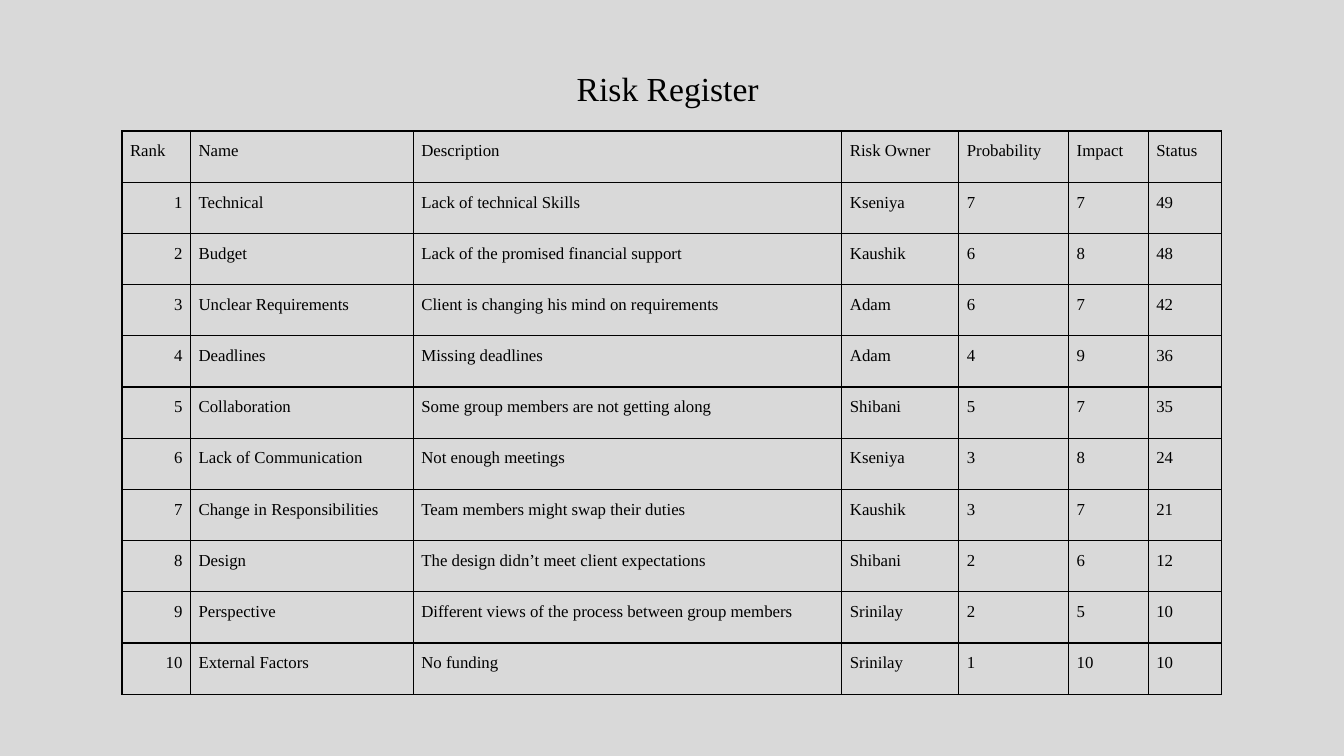
from lxml.etree import SubElement
from pptx import Presentation
from pptx.dml.color import RGBColor
from pptx.enum.text import MSO_ANCHOR as Anchor, PP_ALIGN as Align
from pptx.oxml.ns import qn
from pptx.util import Inches, Pt

INK = "000000"
LEFT, WIDTH = 1.21, 10.91
TABLE_TOP, TABLE_HEIGHT = 1.3, 5.59
COLUMNS = {"Rank": 0.68, "Name": 2.21, "Description": 4.25, "Risk Owner": 1.16,
           "Probability": 1.09, "Impact": 0.79, "Status": 0.73}

# Name, description, owner, probability, impact; in order of rank
RISKS = [
    ("Technical", "Lack of technical Skills", "Kseniya", 7, 7),
    ("Budget", "Lack of the promised financial support", "Kaushik", 6, 8),
    ("Unclear Requirements", "Client is changing his mind on requirements", "Adam", 6, 7),
    ("Deadlines", "Missing deadlines", "Adam", 4, 9),
    ("Collaboration", "Some group members are not getting along", "Shibani", 5, 7),
    ("Lack of Communication", "Not enough meetings", "Kseniya", 3, 8),
    ("Change in Responsibilities", "Team members might swap their duties", "Kaushik", 3, 7),
    ("Design", "The design didn’t meet client expectations", "Shibani", 2, 6),
    ("Perspective", "Different views of the process between group members", "Srinilay", 2, 5),
    ("External Factors", "No funding", "Srinilay", 1, 10),
]


def rgb(code):
    return RGBColor.from_string(code)


def write(frame, text, size, align, spacing):
    paragraph = frame.paragraphs[0]
    paragraph.alignment, paragraph.line_spacing = align, spacing
    run = paragraph.add_run()
    run.text = text
    for key, value in {"name": "Times New Roman", "size": Pt(size), "bold": False}.items():
        setattr(run.font, key, value)
    run.font.color.rgb = rgb(INK)


# Slide
deck = Presentation()
deck.slide_width, deck.slide_height = Inches(13.33), Inches(7.5)
slide = deck.slides.add_slide(deck.slide_layouts[5])
slide.background.fill.solid()
slide.background.fill.fore_color.rgb = rgb("D9D9D9")

# Title
heading = slide.shapes.title
heading.left, heading.top = Inches(LEFT), Inches(0.38)
heading.width, heading.height = Inches(WIDTH), Inches(0.75)
heading.text_frame.vertical_anchor = Anchor.BOTTOM
write(heading.text_frame, "Risk Register ", 24, Align.CENTER, 0.9)

# Register: status is probability times impact
rows = [tuple(COLUMNS)]
for rank, risk in enumerate(RISKS, 1):
    rows.append((rank, *risk, risk[-2] * risk[-1]))

register = slide.shapes.add_table(
    len(rows), len(COLUMNS), Inches(LEFT), Inches(TABLE_TOP),
    Inches(WIDTH), Inches(TABLE_HEIGHT)).table
register.first_row = register.horz_banding = False
for column, width in zip(register.columns, COLUMNS.values()):
    column.width = Inches(width)

for r, row in enumerate(rows):
    register.rows[r].height = Inches(TABLE_HEIGHT / len(rows))
    for c, value in enumerate(row):
        cell = register.cell(r, c)
        for side in ("left", "right", "top", "bottom"):
            setattr(cell, "margin_" + side, Inches(0.08))
        is_rank = r > 0 and c == 0
        write(cell.text_frame, str(value), 12, Align.RIGHT if is_rank else Align.LEFT, 1.15)
        # Borders come before the fill in the cell properties
        properties = cell._tc.get_or_add_tcPr()
        for edge in ("a:lnL", "a:lnR", "a:lnT", "a:lnB"):
            line = SubElement(properties, qn(edge), w=str(Pt(1)))
            SubElement(SubElement(line, qn("a:solidFill")), qn("a:srgbClr"), val=INK)
        cell.fill.background()

deck.save("out.pptx")
